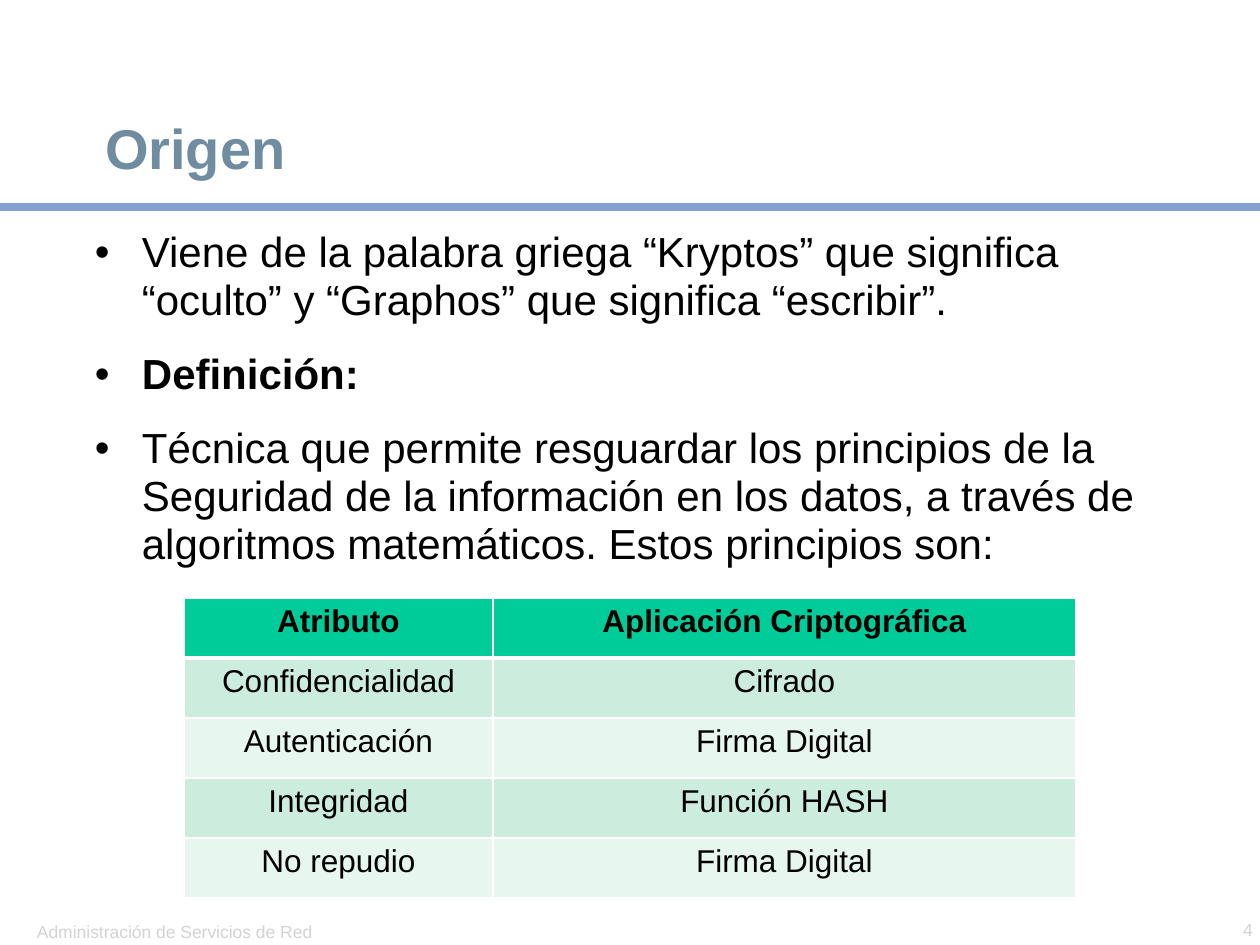
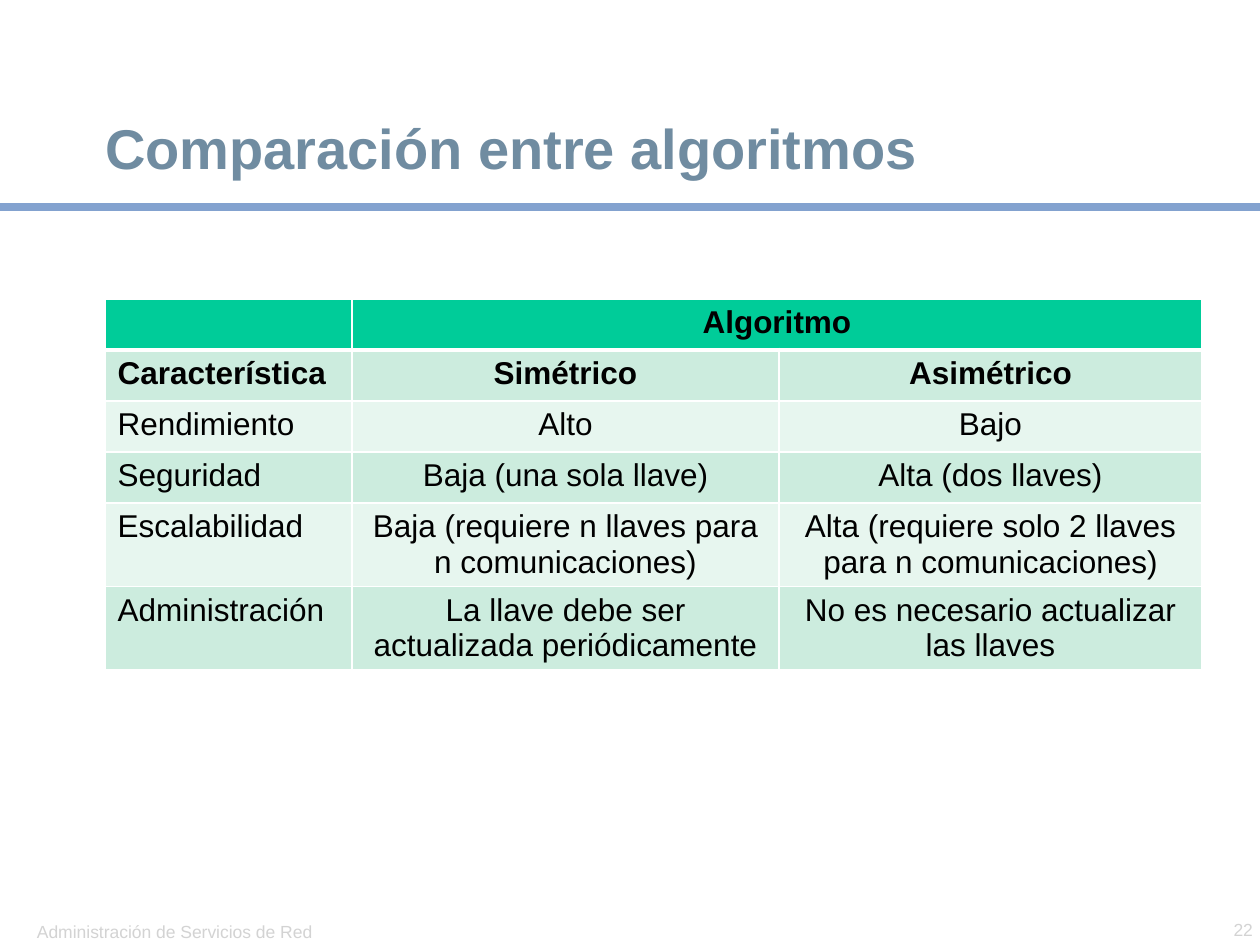
import dataclasses

import lxml.etree
import pptx
import pptx.dml.color
import pptx.enum.shapes
import pptx.enum.text
import pptx.oxml.ns
import pptx.util

FOOTER = "Administración de Servicios de Red"
SLIDES = [
    {
        "title": "Origen",
        "number": "4",
        "bullets": [
            ("Viene de la palabra griega “Kryptos” que significa “oculto” y “Graphos” que significa “escribir”.", False),
            ("Definición:", True),
            ("Técnica que permite resguardar los principios de la Seguridad de la información en los datos, "
             "a través de algoritmos matemáticos. Estos principios son:", False),
        ],
        "table": {
            "corner": (184, 598),
            "columns": [309, 583],
            "row_heights": [60] * 5,
            "bold_rows": 1,
            "left_columns": 0,
            "merges": [],
            "rows": [
                ("Atributo", "Aplicación Criptográfica"),
                ("Confidencialidad", "Cifrado"),
                ("Autenticación", "Firma Digital"),
                ("Integridad", "Función HASH"),
                ("No repudio", "Firma Digital"),
            ],
        },
    },
    {
        "title": "Comparación entre algoritmos",
        "number": "22",
        "bullets": [],
        "table": {
            "corner": (105, 299),
            "columns": [247, 427, 423],
            "row_heights": [51] * 4 + [83] * 2,
            "bold_rows": 2,
            "left_columns": 1,
            "merges": [((0, 1), (0, 2))],
            "rows": [
                ("", "Algoritmo", ""),
                ("Característica", "Simétrico", "Asimétrico"),
                ("Rendimiento", "Alto", "Bajo"),
                ("Seguridad", "Baja (una sola llave)", "Alta (dos llaves)"),
                ("Escalabilidad", "Baja (requiere n llaves para n comunicaciones)",
                 "Alta (requiere solo 2 llaves para n comunicaciones)"),
                ("Administración", "La llave debe ser actualizada periódicamente",
                 "No es necesario actualizar las llaves"),
            ],
        },
    },
]


@dataclasses.dataclass(frozen=True)
class Theme:
    font: str = "Arial"
    title: str = "708CA1"
    text: str = "000000"
    footer: str = "D3D3D3"
    rule: str = "83A2CF"
    border: str = "FFFFFF"
    header: str = "00CC99"
    bands: tuple = ("CCECDE", "E7F6EF")
    title_size: int = 32
    body_size: int = 24
    table_size: int = 18
    footer_size: int = 10
    rule_width: float = 4.5
    thin_border: int = 1
    thick_border: int = 3


THEME = Theme()
ALIGN = pptx.enum.text.PP_ALIGN
ANCHOR = pptx.enum.text.MSO_ANCHOR
SLIDE_WIDTH, SLIDE_HEIGHT = 1260, 945
RULE_TOP = 207
TITLE_BOX = (94, 55, 1120, 132)
BODY_BOX = (84, 224, 1119, 387)
FOOTER_BOX = (26, 914, 325, 33)
NUMBER_BOX = (1162, 912, 102, 33)
BULLET_INDENT = 47


def px(length):
    return pptx.util.Emu(round(length * 914400 / 126))


def color(value):
    return pptx.dml.color.RGBColor.from_string(value)


def add_child(parent, tag, **attributes):
    child = lxml.etree.SubElement(parent, pptx.oxml.ns.qn(tag))
    for name, value in attributes.items():
        child.set(name, str(value))
    return child


def add_run(paragraph, text, size, ink, bold=False):
    run = paragraph.add_run()
    run.text = text
    run.font.name = THEME.font
    run.font.size = pptx.util.Pt(size)
    run.font.bold = bold
    run.font.color.rgb = color(ink)


def prepare_frame(shape, anchor):
    frame = shape.text_frame
    frame.word_wrap = True
    frame.auto_size = pptx.enum.text.MSO_AUTO_SIZE.NONE
    frame.vertical_anchor = anchor
    frame.margin_left = frame.margin_right = px(11)
    frame.margin_top = frame.margin_bottom = px(5)
    return frame


def add_text_box(slide, box, anchor):
    return prepare_frame(slide.shapes.add_textbox(*map(px, box)), anchor)


def set_title(slide, text):
    shape = slide.shapes.title
    shape.left, shape.top, shape.width, shape.height = map(px, TITLE_BOX)
    paragraph = prepare_frame(shape, ANCHOR.BOTTOM).paragraphs[0]
    paragraph.alignment = ALIGN.LEFT
    paragraph.line_spacing = 0.9
    add_run(paragraph, text, THEME.title_size, THEME.title, True)


def add_frame(slide, number):
    for box, text, alignment in ((FOOTER_BOX, FOOTER, ALIGN.LEFT), (NUMBER_BOX, number, ALIGN.RIGHT)):
        paragraph = add_text_box(slide, box, ANCHOR.BOTTOM).paragraphs[0]
        paragraph.alignment = alignment
        add_run(paragraph, text, THEME.footer_size, THEME.footer)
    rule = slide.shapes.add_connector(
        pptx.enum.shapes.MSO_CONNECTOR.STRAIGHT, 0, px(RULE_TOP), px(SLIDE_WIDTH), px(RULE_TOP))
    rule.line.color.rgb = color(THEME.rule)
    rule.line.width = pptx.util.Pt(THEME.rule_width)
    add_child(rule._element.spPr, "a:effectLst")


def add_bullets(slide, bullets):
    frame = add_text_box(slide, BODY_BOX, ANCHOR.TOP)
    for index, (text, bold) in enumerate(bullets):
        paragraph = frame.add_paragraph() if index else frame.paragraphs[0]
        paragraph.line_spacing = 0.95
        paragraph.space_before = pptx.util.Pt(15)
        properties = paragraph._p.get_or_add_pPr()
        properties.set("marL", str(px(BULLET_INDENT)))
        properties.set("indent", str(-px(BULLET_INDENT)))
        add_child(add_child(properties, "a:buClr"), "a:srgbClr", val=THEME.text)
        add_child(properties, "a:buFont", typeface=THEME.font)
        add_child(properties, "a:buChar", char="•")
        add_run(paragraph, text, THEME.body_size, THEME.text, bold)


def format_cell(cell, row):
    thick_side = {0: "B", 1: "T"}.get(row)
    properties = cell._tc.get_or_add_tcPr()
    for side in "LRTB":
        width = THEME.thick_border if side == thick_side else THEME.thin_border
        line = add_child(properties, f"a:ln{side}", w=pptx.util.Pt(width))
        add_child(add_child(line, "a:solidFill"), "a:srgbClr", val=THEME.border)
    cell.fill.solid()
    cell.fill.fore_color.rgb = color(THEME.bands[(row - 1) % 2] if row else THEME.header)


def add_table(slide, content):
    rows, columns, heights = content["rows"], content["columns"], content["row_heights"]
    bounds = (*content["corner"], sum(columns), sum(heights))
    table = slide.shapes.add_table(len(rows), len(columns), *map(px, bounds)).table
    table.first_row = table.horz_banding = False
    for column, width in zip(table.columns, columns):
        column.width = px(width)
    for row, height in zip(table.rows, heights):
        row.height = px(height)
    for start, end in content["merges"]:
        table.cell(*start).merge(table.cell(*end))
    for row, texts in enumerate(rows):
        for column, text in enumerate(texts):
            cell = table.cell(row, column)
            format_cell(cell, row)
            if text:
                paragraph = cell.text_frame.paragraphs[0]
                paragraph.alignment = ALIGN.LEFT if column < content["left_columns"] else ALIGN.CENTER
                add_run(paragraph, text, THEME.table_size, THEME.text, row < content["bold_rows"])


def main():
    presentation = pptx.Presentation()
    presentation.slide_width, presentation.slide_height = px(SLIDE_WIDTH), px(SLIDE_HEIGHT)
    title_only = presentation.slide_layouts.get_by_name("Title Only")
    for content in SLIDES:
        slide = presentation.slides.add_slide(title_only)
        add_frame(slide, content["number"])
        set_title(slide, content["title"])
        if content["bullets"]:
            add_bullets(slide, content["bullets"])
        add_table(slide, content["table"])
    presentation.save("out.pptx")


if __name__ == "__main__":
    main()
